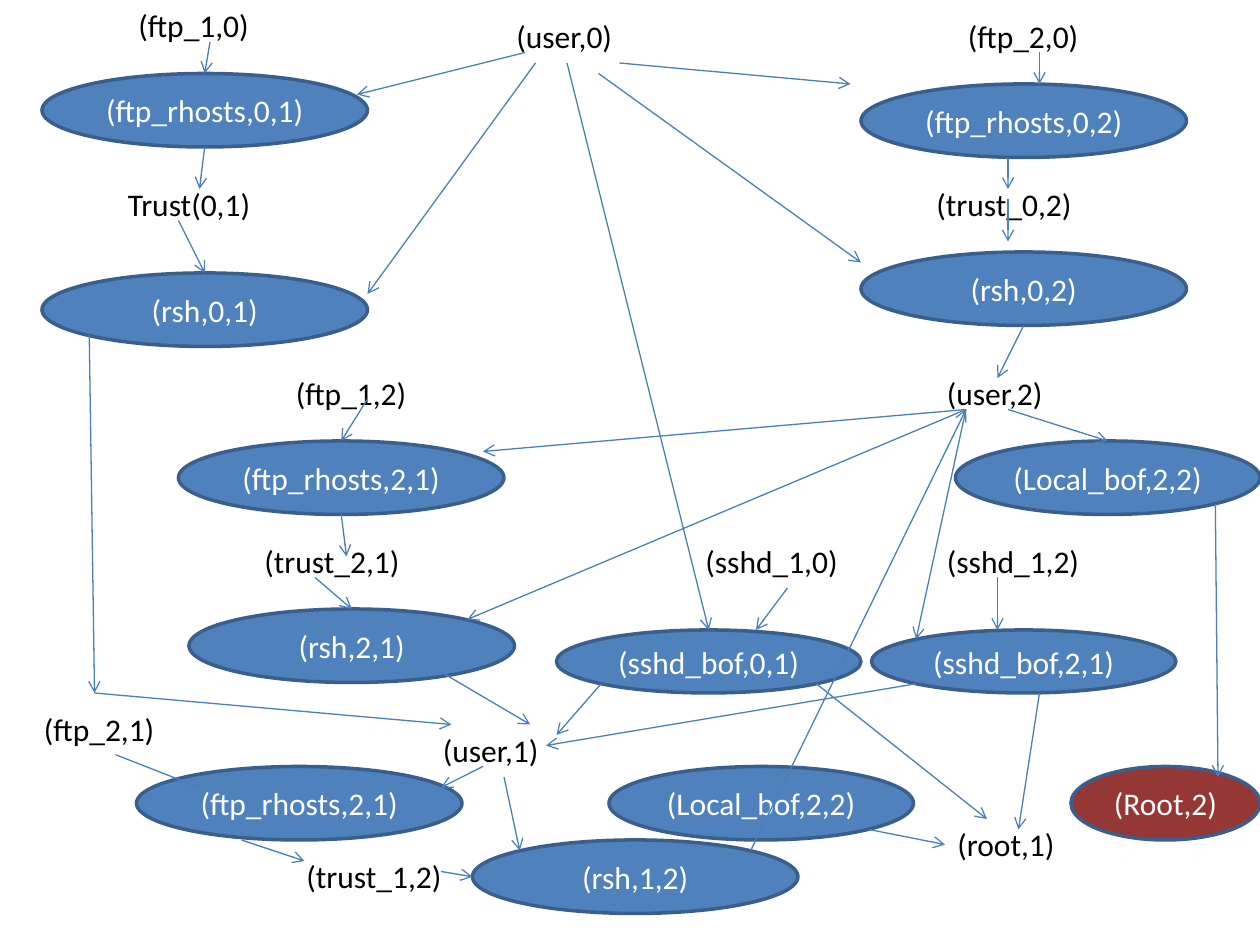
from lxml import etree
from pptx import Presentation
from pptx.dml.color import RGBColor
from pptx.enum.shapes import MSO_CONNECTOR, MSO_SHAPE
from pptx.enum.text import MSO_ANCHOR, MSO_AUTO_SIZE, PP_ALIGN
from pptx.oxml.ns import qn
from pptx.util import Pt

PX = 9525  # EMU in one px, 96 px to the inch
OVAL, STRAIGHT = MSO_SHAPE.OVAL, MSO_CONNECTOR.STRAIGHT
MIDDLE, CENTER = MSO_ANCHOR.MIDDLE, PP_ALIGN.CENTER
FIT_TEXT = MSO_AUTO_SIZE.SHAPE_TO_FIT_TEXT
BLACK = RGBColor(0x00, 0x00, 0x00)
WHITE = RGBColor(0xFF, 0xFF, 0xFF)
BLUE = RGBColor(0x4F, 0x81, 0xBD)
RED = RGBColor(0x95, 0x37, 0x35)
OUTLINE = RGBColor(0x3A, 0x5F, 0x8C)
ARROW = RGBColor(0x4B, 0x7E, 0xBC)
CONDITION_HEIGHT = 39

# label, left, top, width
CONDITIONS = [
    ("(ftp_1,0)", 96, 0, 152),
    ("(user,0)", 384, 8, 152),
    ("(ftp_2,0)", 728, 8, 152),
    ("Trust(0,1)", 88, 136, 160),
    ("(trust_0,2)", 704, 136, 152),
    ("(ftp_1,2)", 216, 280, 152),
    ("(user,2)", 712, 280, 152),
    ("(trust_2,1)", 192, 408, 152),
    ("(sshd_1,0)", 528, 408, 168),
    ("(sshd_1,2)", 712, 408, 168),
    ("(ftp_2,1)", 24, 536, 128),
    ("(user,1)", 328, 552, 152),
    ("(root,1)", 720, 624, 152),
    ("(trust_1,2)", 224, 648, 152),
]

# label, left, top, width, height, fill
EXPLOITS = [
    ("(ftp_rhosts,0,1)", 32, 56, 248, 56, BLUE),
    ("(ftp_rhosts,0,2)", 656, 64, 248, 56, BLUE),
    ("(rsh,0,2)", 656, 192, 248, 56, BLUE),
    ("(rsh,0,1)", 32, 208, 248, 56, BLUE),
    ("(ftp_rhosts,2,1)", 136, 336, 248, 56, BLUE),
    ("(rsh,2,1)", 144, 464, 248, 56, BLUE),
    ("(Local_bof,2,2)", 728, 336, 232, 56, BLUE),
    ("(sshd_bof,0,1)", 424, 480, 232, 48, BLUE),
    ("(sshd_bof,2,1)", 664, 480, 232, 48, BLUE),
    ("(ftp_rhosts,2,1)", 104, 584, 248, 56, BLUE),
    ("(Local_bof,2,2)", 464, 584, 232, 56, BLUE),
    ("(rsh,1,2)", 360, 640, 248, 56, BLUE),
    ("(Root,2)", 816, 584, 144, 56, RED),
]

# An end is a point (x, y), or a condition with the number of its side
USER_2 = (736, 312)
ARROWS = [
    ((160, 32), (156, 56)),
    ((400, 40), (272, 72)),
    ((408, 48), (280, 224)),
    ((432, 48), (540, 480)),
    ((472, 48), (648, 64)),
    ((456, 56), (656, 200)),
    ((792, 40), (792, 64)),
    ((768, 120), (768, 144)),
    ((768, 152), (768, 184)),
    ((780, 248), (760, 288)),
    ((768, 312), (844, 336)),
    (USER_2, (368, 344)),
    (USER_2, (356, 472)),
    (USER_2, (698, 487)),
    ((572, 648), USER_2),
    ((760, 440), (760, 480)),
    ((600, 448), (576, 480)),
    ((698, 521), (416, 568)),
    ((458, 521), (424, 560)),
    ((622, 521), (752, 624)),
    ((336, 512), ("(user,1)", 0)),
    ((68, 255), (72, 528)),
    ((72, 528), (344, 552)),
    (("(ftp_2,1)", 2), (152, 600)),
    ((368, 584), (336, 600)),
    ((384, 592), (396, 648)),
    ((184, 640), (232, 656)),
    ((336, 664), (360, 668)),
    ((926, 384), (928, 592)),
    ((280, 304), (260, 336)),
    ((260, 392), (264, 424)),
    ((240, 440), (268, 464)),
    ((156, 112), (152, 144)),
    ((136, 168), (156, 208)),
    ((662, 632), ("(root,1)", 1)),
    ((792, 528), (776, 632)),
]


def write_label(shape, label, color):
    shape.text_frame.word_wrap = True
    run = shape.text_frame.paragraphs[0].add_run()
    run.text = label
    run.font.name = "Calibri"
    run.font.size = Pt(18)
    run.font.color.rgb = color


prs = Presentation()
prs.slide_width, prs.slide_height = 960 * PX, 720 * PX
slide = prs.slides.add_slide(prs.slide_layouts[6])
shapes = slide.shapes

condition_boxes = {}
for label, left, top, width in CONDITIONS:
    box = shapes.add_textbox(left * PX, top * PX, width * PX, CONDITION_HEIGHT * PX)
    write_label(box, label, BLACK)
    box.text_frame.auto_size = FIT_TEXT
    condition_boxes[label] = box

for label, left, top, width, height, fill in EXPLOITS:
    exploit = shapes.add_shape(OVAL, left * PX, top * PX, width * PX, height * PX)
    exploit.shadow.inherit = False
    exploit.fill.solid()
    exploit.fill.fore_color.rgb = fill
    exploit.line.color.rgb = OUTLINE
    exploit.line.width = Pt(2)
    write_label(exploit, label, WHITE)
    exploit.text_frame.vertical_anchor = MIDDLE
    exploit.text_frame.paragraphs[0].alignment = CENTER

for start, end in ARROWS:
    start_joined, end_joined = start[0] in condition_boxes, end[0] in condition_boxes
    x1, y1 = (0, 0) if start_joined else start
    x2, y2 = (0, 0) if end_joined else end
    arrow = shapes.add_connector(STRAIGHT, x1 * PX, y1 * PX, x2 * PX, y2 * PX)
    if start_joined:
        arrow.begin_connect(condition_boxes[start[0]], start[1])
    if end_joined:
        arrow.end_connect(condition_boxes[end[0]], end[1])
    arrow.line.color.rgb = ARROW
    arrow.line.width = Pt(0.75)
    etree.SubElement(arrow.line._get_or_add_ln(), qn("a:tailEnd"), type="arrow")
    etree.SubElement(arrow._element.spPr, qn("a:effectLst"))

prs.save("out.pptx")
